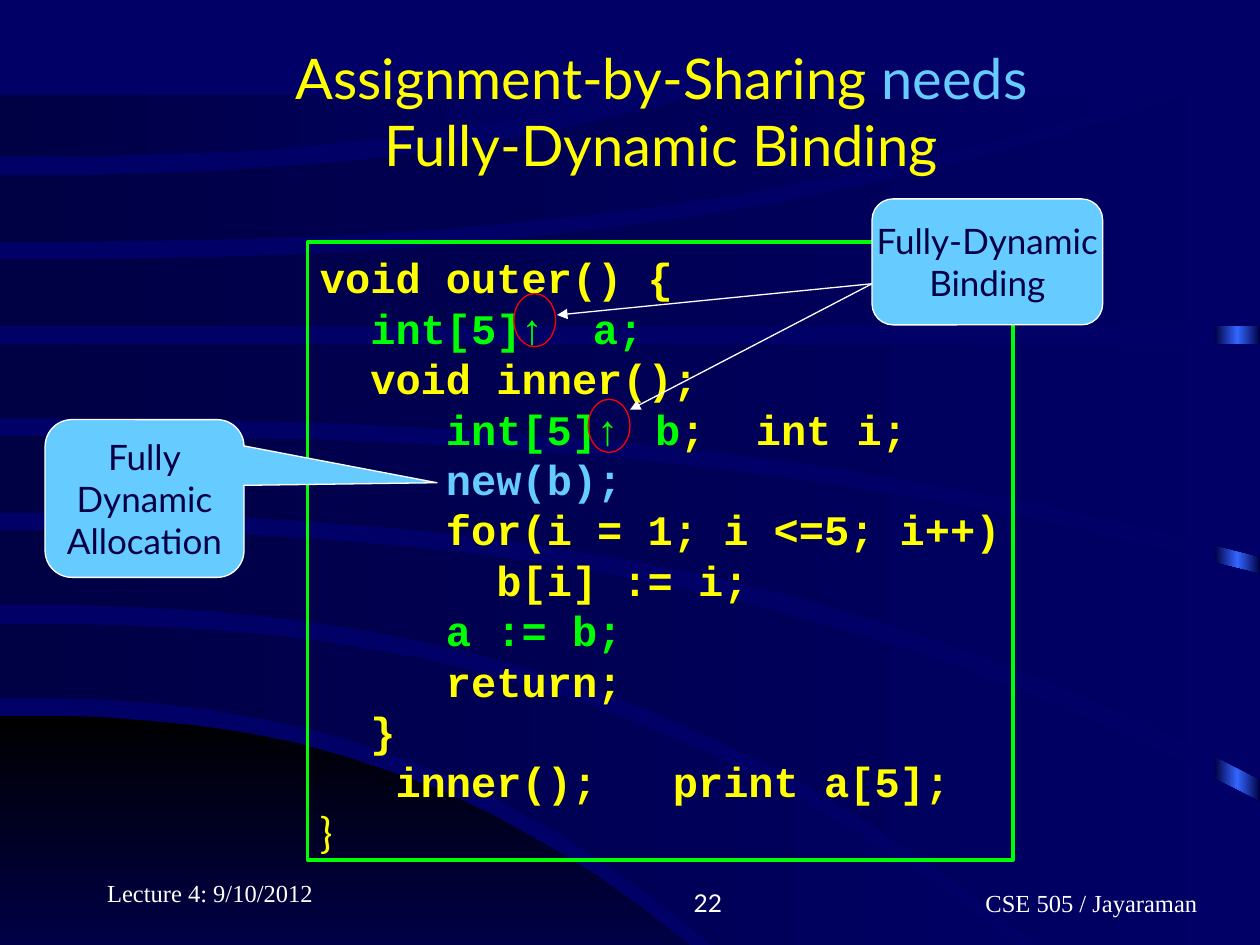
from pptx import Presentation, util as u
from pptx.dml.color import RGBColor
from pptx.enum import shapes, text
from pptx.oxml import parse_xml
from pptx.oxml.ns import nsdecls, qn

Cm, Pt = u.Cm, u.Pt
NAVY = RGBColor(0x00, 0x00, 0x66)
DARK = RGBColor(0x00, 0x00, 0x44)
BLACK = RGBColor(0x00, 0x00, 0x00)
BLUE = RGBColor(0x33, 0x66, 0xFF)
SKY = RGBColor(0x66, 0xCC, 0xFF)
YELLOW = RGBColor(0xFF, 0xFF, 0x00)
GREEN = RGBColor(0x00, 0xFF, 0x00)
RED = RGBColor(0xFF, 0x00, 0x00)
WHITE = RGBColor(0xFF, 0xFF, 0xFF)
LATO, MONO, SERIF, SANS = "Lato", "Courier New", "Times New Roman", "Arial"
LEFT, CENTER, RIGHT = text.PP_ALIGN.LEFT, text.PP_ALIGN.CENTER, text.PP_ALIGN.RIGHT
TOP, MIDDLE, BOTTOM = text.MSO_ANCHOR.TOP, text.MSO_ANCHOR.MIDDLE, text.MSO_ANCHOR.BOTTOM

WAVE_UNIT = Cm(2.54) / 100
WAVE_POWER = 2.5
WAVE_STEPS = 16
CORNER_WAVE = ((568, 827, 629), (827, 827, 629))
WAVES = [
    ((495, 825, 894), (554, 825, 643)),
    ((421, 637, 1001), (480, 825, 910)),
    ((346, 456, 1001), (407, 619, 1001)),
    ((273, 273, 1001), (332, 442, 1001)),
    ((206, 75, 944), (259, 259, 1001)),
    ((139, 75, 557), (192, 75, 918)),
    ((75, 75, 502), (124, 75, 502)),
]

TITLE = [[("Assignment-by-Sharing ", YELLOW, LATO), ("needs\v", SKY, LATO),
          ("Fully-Dynamic Binding", YELLOW, LATO)]]
CODE = [
    [("void outer() {", YELLOW, MONO)],
    [("  ", YELLOW, MONO), ("int[5]", GREEN, MONO), ("↑", GREEN, SANS), ("  a;", GREEN, MONO)],
    [("  void inner();", YELLOW, MONO)],
    [("     ", YELLOW, MONO), ("int[5]", GREEN, MONO), ("↑ ", GREEN, SANS),
     (" b", GREEN, MONO), (";  int i;", YELLOW, MONO)],
    [("     new(b);", SKY, MONO)],
    [("     for(i = 1; i <=5; i++)", YELLOW, MONO)],
    [("       b[i] := i;", YELLOW, MONO)],
    [("     a := b;", GREEN, MONO)],
    [("     return;", YELLOW, MONO)],
    [("  }", YELLOW, MONO)],
    [("   inner();   print a[5];", YELLOW, MONO)],
    [("}", YELLOW, LATO)],
]
FOOTERS = [
    ("CSE 505 / Jayaraman", SERIF, CENTER, (16.71, 17.35, 8.05, 1.27), 2.54),
    ("22", LATO, RIGHT, (9.53, 17.35, 5.28, 1.27), 0),
    ("Lecture 4: 9/10/2012", SERIF, LEFT, (1.91, 17.15, 5.28, 1.27), 0),
]
CALLOUTS = [
    (["Fully", "Dynamic", "Allocation"], "ROUNDED_RECTANGULAR_CALLOUT",
     (0.91, 8.46, 4.01, 3.18), (1.47, -0.1, 0.17)),
    (["Fully-Dynamic", "Binding"], "FLOWCHART_ALTERNATE_PROCESS", (17.58, 4.01, 4.65, 2.54), ()),
]
RINGS = [(10.36, 5.92), (11.86, 8.05)]
RING_SIZE = (0.84, 1.07)
ARROW_START = (17.58, 5.72)
ARROW_ENDS = [(11.23, 6.35), (12.7, 8.26)]


def lengths(values):
    return [Cm(v) for v in values]


def add_gradient(shape, colors, angle=0):
    shape.shadow.inherit = False
    shape.line.fill.background()
    shape.fill.background()
    stops = "".join(
        f'<a:gs pos="{i * 100000 // (len(colors) - 1)}"><a:srgbClr val="{c}"/></a:gs>'
        for i, c in enumerate(colors))
    grad = parse_xml(f'<a:gradFill {nsdecls("a")} rotWithShape="1"><a:gsLst>{stops}</a:gsLst>'
                     f'<a:lin ang="{angle * 60000}" scaled="0"/></a:gradFill>')
    props = shape._element.spPr
    props.replace(props.find(qn("a:noFill")), grad)


def edge_points(start_y, end_y, end_x):
    steps = [i / WAVE_STEPS for i in range(WAVE_STEPS + 1)]
    return [(end_x * t, start_y + (end_y - start_y) * t ** WAVE_POWER) for t in steps]


def add_wave(s, edges, colors, angle=0):
    upper, lower = [edge_points(*edge) for edge in edges]
    (upper_x, upper_y), (lower_x, lower_y) = upper[-1], lower[-1]
    corner = (lower_x, upper_y) if upper_x < lower_x else (upper_x, lower_y)
    points = upper + [corner] + lower[::-1]
    builder = s.shapes.build_freeform(*points[0], scale=WAVE_UNIT)
    builder.add_line_segments(points[1:], close=True)
    add_gradient(builder.convert_to_shape(), colors, angle)


def add_preset(s, name, box, line, width=0.75, fill=None):
    sp = s.shapes.add_shape(shapes.MSO_SHAPE[name], *lengths(box))
    sp.shadow.inherit = False
    sp.line.color.rgb, sp.line.width = line, Pt(width)
    if fill is None:
        sp.fill.background()
    else:
        sp.fill.solid()
        sp.fill.fore_color.rgb = fill
    return sp


def write(sp, lines, size, align, anchor, wrap=True, bold=False):
    tf = sp.text_frame
    tf.word_wrap, tf.vertical_anchor = wrap, anchor
    for i, runs in enumerate(lines):
        p = tf.paragraphs[0] if i == 0 else tf.add_paragraph()
        p.alignment = align
        for words, color, font in runs:
            r = p.add_run()
            r.text = words.rstrip("\v")
            r.font.name, r.font.size, r.font.color.rgb = font, Pt(size), color
            r.font.bold = bold and font != LATO
            if words.endswith("\v"):
                p.add_line_break()
    return tf


def add_arrow(s, start, end):
    arrow = s.shapes.add_connector(shapes.MSO_CONNECTOR.STRAIGHT, *lengths(start + end))
    arrow.line.color.rgb, arrow.line.width = WHITE, Pt(0.75)
    props = arrow._element.spPr
    props.find(qn("a:ln")).append(parse_xml(f'<a:tailEnd {nsdecls("a")} type="triangle"/>'))
    props.append(parse_xml(f'<a:effectLst {nsdecls("a")}/>'))


def main():
    prs = Presentation()
    prs.slide_width, prs.slide_height = Cm(25.4), Cm(19.05)
    s = prs.slides.add_slide(prs.slide_layouts[6])
    s.background.fill.solid()
    s.background.fill.fore_color.rgb = NAVY

    strip = s.shapes.add_shape(shapes.MSO_SHAPE.RECTANGLE, *lengths((24.49, 1.96, 0.91, 17.09)))
    add_gradient(strip, [DARK, BLUE, DARK])
    add_wave(s, CORNER_WAVE, [BLACK, NAVY], 90)
    for edges in WAVES:
        add_wave(s, edges, [DARK, NAVY])

    for words, font, align, box, indent in FOOTERS:
        sp = s.shapes.add_textbox(*lengths(box))
        tf = write(sp, [[(words, WHITE, font)]], 14, align, BOTTOM)
        if indent:
            tf.paragraphs[0]._p.get_or_add_pPr().set("marL", str(Cm(indent)))

    code = add_preset(s, "RECTANGLE", (6.2, 4.88, 14.22, 12.45), GREEN, 2.25)
    tf = write(code, CODE, 24, LEFT, TOP, wrap=False, bold=True)
    tf.margin_top = Cm(0.2)
    for p in tf.paragraphs:
        p.line_spacing = Pt(28.8)

    title = s.shapes.add_textbox(*lengths((2.54, 0.64, 21.59, 3.18)))
    write(title, TITLE, 32, CENTER, MIDDLE)

    for words, name, box, adjustments in CALLOUTS:
        sp = add_preset(s, name, box, WHITE, fill=SKY)
        for i, value in enumerate(adjustments):
            sp.adjustments[i] = value
        write(sp, [[(w, DARK, LATO)] for w in words], 20, CENTER, MIDDLE, wrap=False)

    for corner in RINGS:
        add_preset(s, "OVAL", corner + RING_SIZE, RED)
    for end in ARROW_ENDS:
        add_arrow(s, ARROW_START, end)

    prs.save("out.pptx")


if __name__ == "__main__":
    main()
